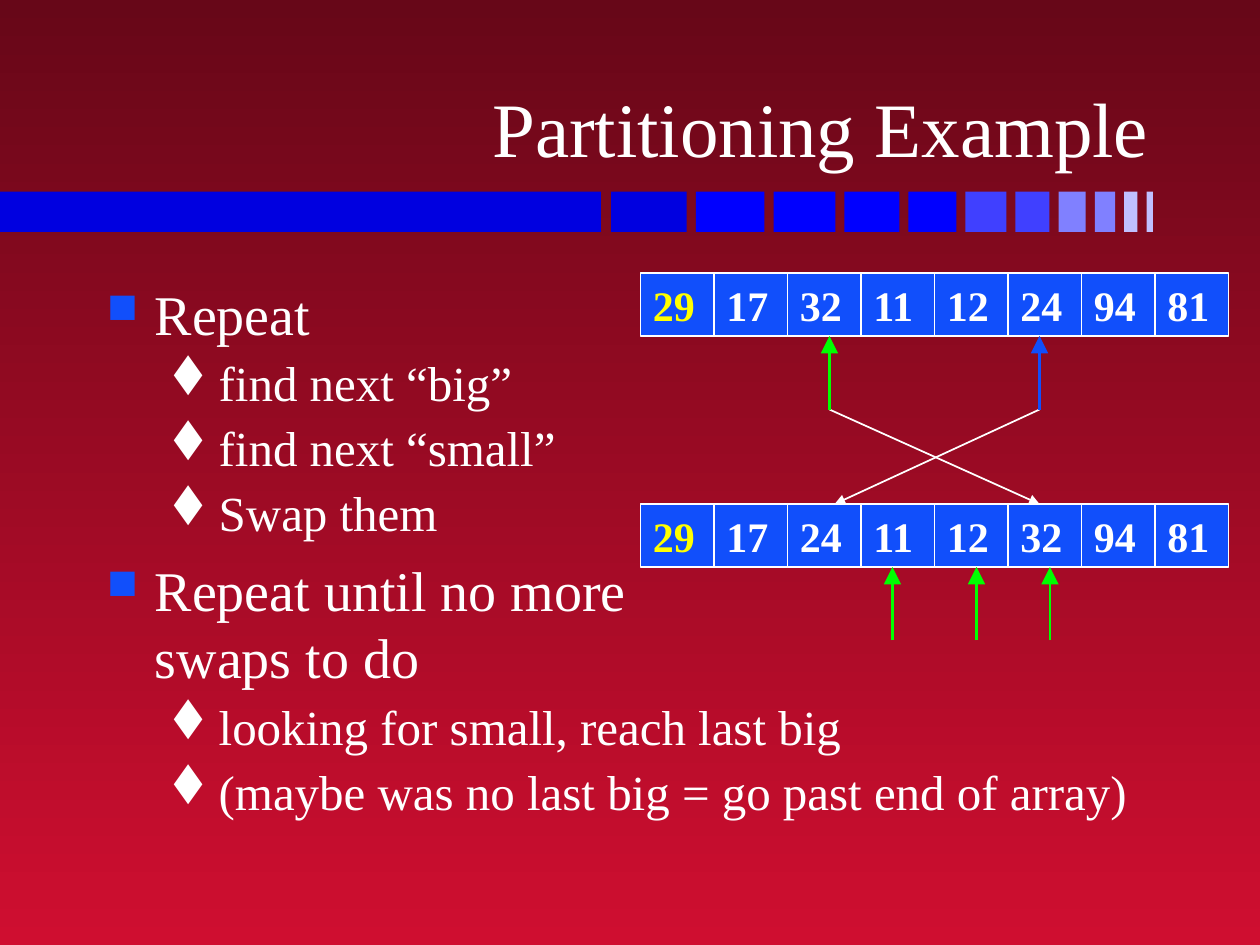
from dataclasses import dataclass

import pptx
import pptx.dml.color
import pptx.enum.shapes
import pptx.enum.text
import pptx.oxml
import pptx.oxml.ns
import pptx.util

RGBColor = pptx.dml.color.RGBColor
WHITE = RGBColor(0xFF, 0xFF, 0xFF)
YELLOW = RGBColor(0xFF, 0xFF, 0x00)
GREEN = RGBColor(0x00, 0xFF, 0x00)
BLUE = RGBColor(0x11, 0x4F, 0xFB)
DARK_RED = RGBColor(0x67, 0x07, 0x18)
BRIGHT_RED = RGBColor(0xCF, 0x0E, 0x30)
BAR_DEEP = RGBColor(0x00, 0x00, 0xE0)
BAR_PURE = RGBColor(0x00, 0x00, 0xFF)
BAR_MEDIUM = RGBColor(0x40, 0x40, 0xFF)
BAR_LIGHT = RGBColor(0x80, 0x80, 0xFF)
BAR_PALE = RGBColor(0xC0, 0xC0, 0xFF)

FONT = "Times New Roman"
BULLET_FONT = "Wingdings"
RECTANGLE = pptx.enum.shapes.MSO_SHAPE.RECTANGLE
ANCHOR = pptx.enum.text.MSO_ANCHOR

# The array drawing sits on a grid of twelve units to the inch.
UNITS_PER_INCH = 12
CELL_WIDTH, CELL_HEIGHT = 7, 6
ARRAY_LEFT = 61


@dataclass(frozen=True)
class BulletStyle:
    size: int
    bullet: str  # character code in the bullet font
    bullet_color: RGBColor
    bullet_percent: int
    margin: float
    hanging: float
    space_before: float


@dataclass(frozen=True)
class Item:
    lines: tuple[str, ...]
    level: int = 0


@dataclass(frozen=True)
class ArrayRow:
    top: int
    values: tuple[int, ...]


@dataclass(frozen=True)
class Arrow:
    start: tuple[float, float]
    end: tuple[float, float]
    color: RGBColor
    width: float = 1.25
    head: str = "lg"


STYLES = (
    BulletStyle(32, "n", BLUE, 75, 0.38, 0.38, 8),  # square
    BulletStyle(28, "t", WHITE, 100, 0.81, 0.31, 3.5),  # lozenge
)
ITEMS = (
    Item(("Repeat",)),
    Item(("find next “big”",), 1),
    Item(("find next “small”",), 1),
    Item(("Swap them",), 1),
    Item(("Repeat until no more ", "swaps to do")),
    Item(("looking for small, reach last big",), 1),
    Item(("(maybe was no last big = go past end of array)",), 1),
)
ARRAYS = (
    ArrayRow(26, (29, 17, 32, 11, 12, 24, 94, 81)),
    ArrayRow(48, (29, 17, 24, 11, 12, 32, 94, 81)),
)
ARROWS = (
    Arrow((79, 39), (99, 48), WHITE, 1, "med"),
    Arrow((99, 39), (79.5, 48), WHITE, 1, "med"),
    Arrow((79, 39), (79, 32), GREEN),
    Arrow((99, 39), (99, 32), BLUE),
    *(Arrow((column, 61), (column, 54), GREEN) for column in (85, 93, 100)),
)
SEGMENT_COLORS = (
    BAR_DEEP, *[BAR_PURE] * 4, *[BAR_MEDIUM] * 2, *[BAR_LIGHT] * 2, *[BAR_PALE] * 2,
)


def grid(units: float) -> int:
    return pptx.util.Inches(units / UNITS_PER_INCH)


def add_rectangle(page, left: int, top: int, width: int, height: int, color: RGBColor):
    box = page.shapes.add_shape(RECTANGLE, left, top, width, height)
    box.shadow.inherit = False
    box.fill.solid()
    box.fill.fore_color.rgb = color
    box.line.fill.background()
    return box


def add_span(para, text: str, size: float, color: RGBColor = WHITE, bold: bool = False) -> None:
    span = para.add_run()
    span.text = text
    span.font.name = FONT
    span.font.size = pptx.util.Pt(size)
    span.font.color.rgb = color
    span.font.bold = bold


def add_text_frame(page, left: float, top: float, width: float, height: float):
    box = page.shapes.add_textbox(*map(pptx.util.Inches, (left, top, width, height)))
    box.text_frame.word_wrap = True
    return box.text_frame


def add_bar(page) -> None:
    """Draw one long segment, then equally spaced segments that narrow by one step."""
    inches = pptx.util.Inches
    top, height = inches(1.52), inches(0.32)
    add_rectangle(page, 0, top, inches(4.77), height, BAR_DEEP)
    left, right = 4.85, 9.15
    steps = len(SEGMENT_COLORS) - 1
    widths = [0.6 - 0.55 * index / steps for index in range(steps + 1)]
    gap = (right - left - sum(widths)) / steps
    for width, color in zip(widths, SEGMENT_COLORS):
        add_rectangle(page, inches(left), top, inches(width), height, color)
        left += width + gap


def set_bullet(para, style: BulletStyle) -> None:
    properties = para._p.get_or_add_pPr()
    properties.set("marL", str(pptx.util.Inches(style.margin)))
    properties.set("indent", str(-pptx.util.Inches(style.hanging)))
    namespace = pptx.oxml.ns.nsdecls("a")
    for xml in (
        f'<a:buClr {namespace}><a:srgbClr val="{style.bullet_color}"/></a:buClr>',
        f'<a:buSzPct {namespace} val="{style.bullet_percent * 1000}"/>',
        f'<a:buFont {namespace} typeface="{BULLET_FONT}" pitchFamily="2" charset="2"/>',
        f'<a:buChar {namespace} char="{style.bullet}"/>',
    ):
        properties.append(pptx.oxml.parse_xml(xml))


def add_list(page) -> None:
    frame = add_text_frame(page, 0.75, 2.17, 8.5, 4.5)
    for index, item in enumerate(ITEMS):
        style = STYLES[item.level]
        para = frame.add_paragraph() if index else frame.paragraphs[0]
        para.level = item.level
        set_bullet(para, style)
        para.space_before = pptx.util.Pt(style.space_before if index else 0)
        for number, line in enumerate(item.lines):
            if number:
                para.add_line_break()
            add_span(para, line, style.size)


def add_array(page, row: ArrayRow) -> None:
    for index, value in enumerate(row.values):
        left = grid(ARRAY_LEFT + index * CELL_WIDTH)
        cell = add_rectangle(
            page, left, grid(row.top), grid(CELL_WIDTH), grid(CELL_HEIGHT), BLUE
        )
        cell.line.color.rgb = WHITE
        cell.line.width = pptx.util.Pt(1)
        frame = cell.text_frame
        frame.word_wrap = False
        frame.vertical_anchor = ANCHOR.MIDDLE
        para = frame.paragraphs[0]
        para.alignment = pptx.enum.text.PP_ALIGN.LEFT
        add_span(para, str(value), 24, WHITE if index else YELLOW, bold=True)


def add_arrow(page, arrow: Arrow) -> None:
    points = map(grid, (*arrow.start, *arrow.end))
    line = page.shapes.add_connector(pptx.enum.shapes.MSO_CONNECTOR.STRAIGHT, *points)
    line.line.color.rgb = arrow.color
    line.line.width = pptx.util.Pt(arrow.width)
    namespace = pptx.oxml.ns.nsdecls("a")
    head = f'<a:tailEnd {namespace} type="triangle" w="{arrow.head}" len="{arrow.head}"/>'
    line.line._get_or_add_ln().append(pptx.oxml.parse_xml(head))
    line._element.spPr.append(pptx.oxml.parse_xml(f"<a:effectLst {namespace}/>"))


def main() -> None:
    deck = pptx.Presentation()
    deck.slide_width, deck.slide_height = pptx.util.Inches(10), pptx.util.Inches(7.5)
    page = deck.slides.add_slide(deck.slide_layouts[6])

    # Background, dark at the top
    fill = page.background.fill
    fill.gradient()
    fill.gradient_angle = 270
    for stop, color in zip(fill.gradient_stops, (DARK_RED, BRIGHT_RED)):
        stop.color.rgb = color

    # Title and bar
    add_bar(page)
    frame = add_text_frame(page, 0.74, 0.19, 8.48, 1.23)
    frame.vertical_anchor = ANCHOR.BOTTOM
    frame.paragraphs[0].alignment = pptx.enum.text.PP_ALIGN.RIGHT
    add_span(frame.paragraphs[0], "Partitioning Example", 44)

    # Steps, arrays and pointers
    add_list(page)
    for row in ARRAYS:
        add_array(page, row)
    for arrow in ARROWS:
        add_arrow(page, arrow)

    deck.save("out.pptx")


if __name__ == "__main__":
    main()
